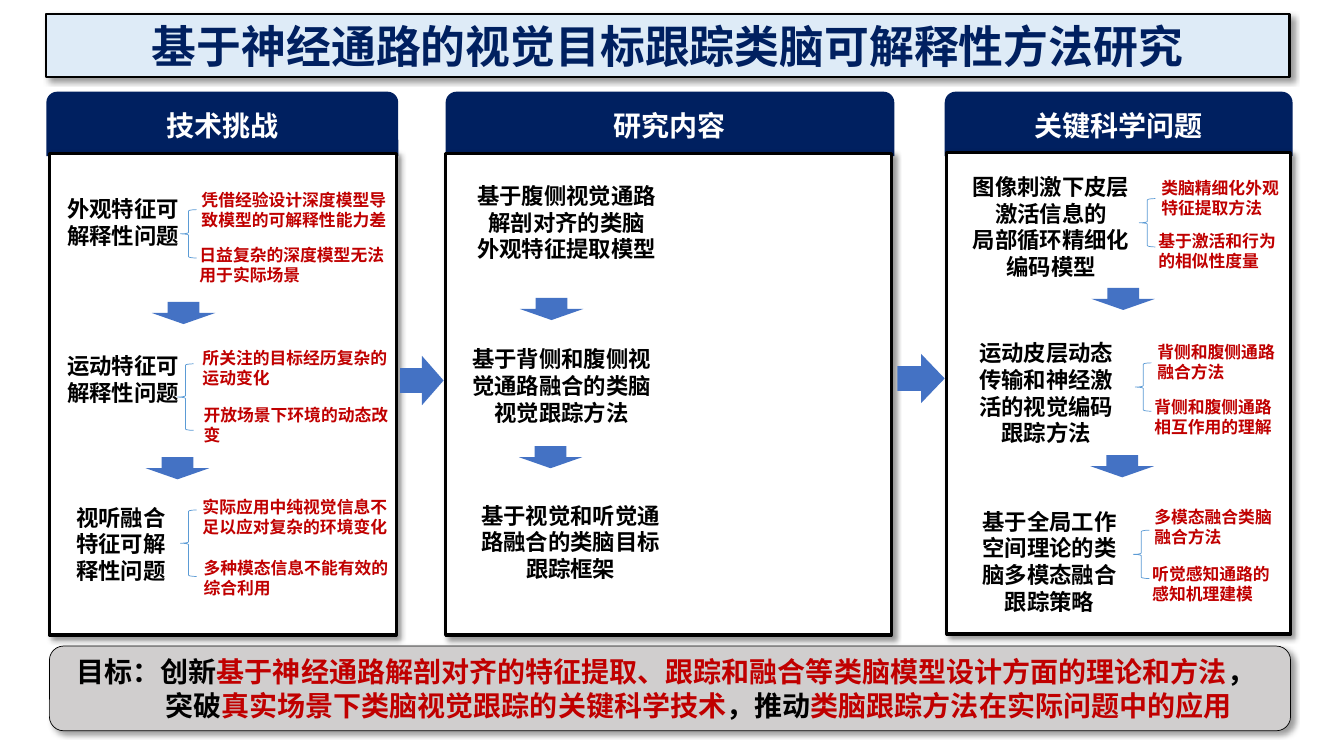
from lxml.etree import SubElement
from pptx import Presentation
from pptx.dml.color import RGBColor
from pptx.enum.shapes import MSO_SHAPE
from pptx.enum.text import MSO_ANCHOR, MSO_AUTO_SIZE, PP_ALIGN
from pptx.oxml.ns import qn
from pptx.util import Inches, Pt

FONT = "Noto Sans CJK SC"
NAVY = RGBColor(0x00, 0x20, 0x60)
WHITE = RGBColor(0xFF, 0xFF, 0xFF)
BLACK = RGBColor(0x00, 0x00, 0x00)
RED = RGBColor(0xC0, 0x00, 0x00)
PALE_BLUE = RGBColor(0xDE, 0xEB, 0xF7)
GREY = RGBColor(0xD0, 0xCE, 0xCE)
ARROW_BLUE = RGBColor(0x44, 0x72, 0xC4)
BRACE_BLUE = RGBColor(0x5B, 0x9B, 0xD5)

TITLE = "基于神经通路的视觉目标跟踪类脑可解释性方法研究"
COLUMNS = [
    ("技术挑战", (0.46, 0.91, 3.49, 0.64), (0.49, 1.52, 3.44, 4.78)),
    ("研究内容", (4.42, 0.91, 4.45, 0.64), (4.42, 1.52, 4.42, 4.78)),
    ("关键科学问题", (9.37, 0.91, 3.45, 0.64), (9.39, 1.51, 3.41, 4.78)),
]
TOPICS = [
    (0.56, 1.89, 1.32, 0.91, ["外观特征可解释性问题"]),
    (0.56, 3.45, 1.32, 0.91, ["运动特征可解释性问题"]),
    (0.59, 4.95, 1.22, 0.91, ["视听融合特征可解释性问题"]),
    (4.57, 1.76, 2.1, 0.91, ["基于腹侧视觉通路", "解剖对齐的类脑", "外观特征提取模型"]),
    (4.57, 3.38, 2.0, 0.91, ["基于背侧和腹侧视觉通路融合的类脑视觉跟踪方法"]),
    (4.57, 4.93, 2.18, 0.91, ["基于视觉和听觉通路融合的类脑目标", "跟踪框架"]),
    (9.53, 1.67, 1.79, 1.18, ["图像刺激下皮层激活信息的", "局部循环精细化编码模型"]),
    (9.58, 3.32, 1.59, 1.18, ["运动皮层动态传输和神经激活的视觉编码跟踪方法"]),
    (9.56, 4.99, 1.7, 1.18, ["基于全局工作空间理论的类脑多模态融合跟踪策略"]),
]
DETAILS = [
    (1.9, 1.83, 2.05, "凭借经验设计深度模型导致模型的可解释性能力差"),
    (1.88, 2.38, 2.05, "日益复杂的深度模型无法用于实际场景"),
    (1.91, 3.4, 2.05, "所关注的目标经历复杂的运动变化"),
    (1.92, 3.97, 2.05, "开放场景下环境的动态改变"),
    (1.91, 4.88, 2.05, "实际应用中纯视觉信息不足以应对复杂的环境变化"),
    (1.92, 5.49, 2.05, "多种模态信息不能有效的综合利用"),
    (11.42, 1.72, 1.38, "类脑精细化外观特征提取方法"),
    (11.39, 2.24, 1.4, "基于激活和行为的相似性度量"),
    (11.38, 3.34, 1.38, "背侧和腹侧通路融合方法"),
    (11.35, 3.89, 1.4, "背侧和腹侧通路相互作用的理解"),
    (11.35, 4.98, 1.38, "多模态融合类脑融合方法"),
    (11.33, 5.55, 1.4, "听觉感知通路的感知机理建模"),
]
BRACES = [
    (1.79, 2.08, 0.48), (1.76, 3.61, 0.66), (1.79, 5.06, 0.66),
    (11.3, 1.97, 0.48), (11.26, 3.6, 0.48), (11.24, 5.26, 0.48),
]
DOWN_ARROWS = [(1.71, 2.79), (1.65, 4.33), (5.36, 2.75),
               (5.35, 4.22), (11.03, 2.65), (11.02, 4.31)]
COLUMN_ARROWS = [(3.97, 3.53, 0.43, 0.49), (8.9, 3.51, 0.47, 0.49)]
GOAL = [
    ("目标：创新", BLACK),
    ("基于神经通路解剖对齐的特征提取、跟踪和融合等类脑模型设计方面的理论和方法", RED),
    ("，突破", BLACK),
    ("真实场景下类脑视觉跟踪的关键科学技术", RED),
    ("，推动", BLACK),
    ("类脑跟踪方法在实际问题中的应用", RED),
]


def add_run(paragraph, text, size, color):
    run = paragraph.add_run()
    run.text = text
    font = run.font
    font.size, font.bold, font.name = Pt(size), True, FONT
    font.color.rgb = color
    SubElement(run._r.get_or_add_rPr(), qn("a:ea"), typeface=FONT)


def style_shape(shape, fill=None, line=None, width=0, shadow=False):
    if fill is None:
        shape.fill.background()
    else:
        shape.fill.solid()
        shape.fill.fore_color.rgb = fill
    if line is None:
        shape.line.fill.background()
    else:
        shape.line.color.rgb = line
        shape.line.width = Pt(width)
    shape.shadow.inherit = False
    if shadow:
        effects = shape._element.spPr.find(qn("a:effectLst"))
        outer = SubElement(effects, qn("a:outerShdw"), blurRad=str(Pt(4)), dist=str(Pt(3)),
                           dir=str(45 * 60000), algn="tl", rotWithShape="0")
        color = SubElement(outer, qn("a:srgbClr"), val=str(BLACK))
        SubElement(color, qn("a:alpha"), val="40000")


def add_box(slide, kind, box, **style):
    shape = slide.shapes.add_shape(kind, *map(Inches, box))
    style_shape(shape, **style)
    return shape


def add_text(slide, box, lines, size, color, align):
    frame = slide.shapes.add_textbox(*map(Inches, box)).text_frame
    frame.word_wrap = True
    for index, line in enumerate(lines):
        paragraph = frame.add_paragraph() if index else frame.paragraphs[0]
        paragraph.alignment = align
        paragraph.line_spacing = Pt(size * 1.19)
        add_run(paragraph, line, size, color)


def add_title(slide):
    title = slide.shapes.title
    title.left, title.top, title.width, title.height = map(Inches, (0.46, 0.14, 12.33, 0.62))
    style_shape(title, PALE_BLUE, BLACK, 1.5, True)
    frame = title.text_frame
    frame.auto_size = MSO_AUTO_SIZE.NONE
    frame.vertical_anchor = MSO_ANCHOR.MIDDLE
    frame.paragraphs[0].alignment = PP_ALIGN.CENTER
    add_run(frame.paragraphs[0], TITLE, 32, NAVY)


def add_goal(slide):
    goal = add_box(slide, MSO_SHAPE.ROUNDED_RECTANGLE, (0.49, 6.41, 12.31, 0.84),
                   fill=GREY, line=BLACK, width=0.5, shadow=True)
    frame = goal.text_frame
    frame.word_wrap = True
    frame.margin_right = Inches(0.15)
    frame.vertical_anchor = MSO_ANCHOR.MIDDLE
    paragraph = frame.paragraphs[0]
    paragraph.alignment = PP_ALIGN.LEFT
    paragraph.line_spacing = Pt(24)
    properties = paragraph._p.get_or_add_pPr()
    properties.set("marL", str(Inches(1.01)))
    properties.set("indent", str(Inches(-0.88)))
    for text, color in GOAL:
        add_run(paragraph, text, 20, color)


def main():
    presentation = Presentation()
    presentation.slide_width, presentation.slide_height = Inches(13.33), Inches(7.5)
    slide = presentation.slides.add_slide(presentation.slide_layouts[5])
    add_title(slide)
    for heading, header_box, panel_box in COLUMNS:
        header = add_box(slide, MSO_SHAPE.ROUND_2_SAME_RECTANGLE, header_box, fill=NAVY)
        header.text_frame.vertical_anchor = MSO_ANCHOR.MIDDLE
        header.text_frame.paragraphs[0].alignment = PP_ALIGN.CENTER
        add_run(header.text_frame.paragraphs[0], heading, 20, WHITE)
        add_box(slide, MSO_SHAPE.RECTANGLE, panel_box,
                fill=WHITE, line=BLACK, width=2.25, shadow=True)
    for *box, lines in TOPICS:
        add_text(slide, box, lines, 16, BLACK, PP_ALIGN.CENTER)
    for left, top, width, text in DETAILS:
        add_text(slide, (left, top, width, 0.5), [text], 12, RED, PP_ALIGN.LEFT)
    for left, top, height in BRACES:
        add_box(slide, MSO_SHAPE.LEFT_BRACE, (left, top, 0.16, height),
                line=BRACE_BLUE, width=0.5)
    for left, top in DOWN_ARROWS:
        arrow = add_box(slide, MSO_SHAPE.RIGHT_ARROW, (left, top, 0.22, 0.63), fill=ARROW_BLUE)
        arrow.rotation = 90
    for box in COLUMN_ARROWS:
        add_box(slide, MSO_SHAPE.RIGHT_ARROW, box, fill=ARROW_BLUE)
    add_goal(slide)
    presentation.save("out.pptx")


if __name__ == "__main__":
    main()
